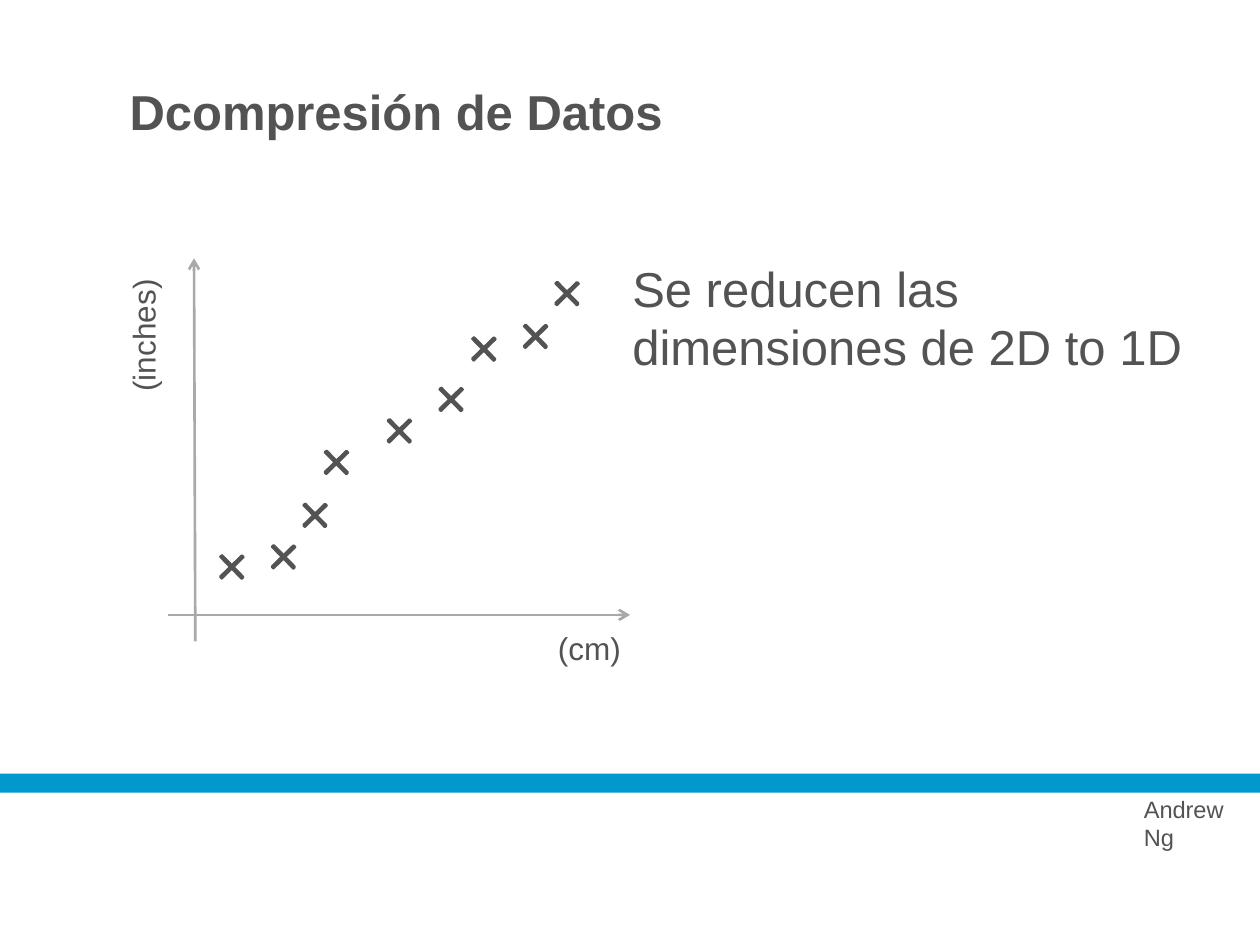
from typing import NamedTuple

from lxml import etree
from pptx import Presentation
from pptx.dml.color import RGBColor
from pptx.enum.shapes import MSO_CONNECTOR, MSO_SHAPE
from pptx.enum.text import MSO_ANCHOR, MSO_AUTO_SIZE
from pptx.oxml.ns import qn
from pptx.util import Inches, Pt

LINE = MSO_CONNECTOR.STRAIGHT
RECT = MSO_SHAPE.RECTANGLE
CROSS = MSO_SHAPE.CROSS
TOP = MSO_ANCHOR.TOP
NO_FIT = MSO_AUTO_SIZE.NONE

INK = RGBColor(0x53, 0x53, 0x53)
GREY = RGBColor(0xA9, 0xA9, 0xA9)
BLUE = RGBColor(0x00, 0x98, 0xCD)
FONT = "Arial"

# The slide is a grid of 100 columns by 75 rows.
COLS, ROWS = 100, 75
WIDTH, HEIGHT = Inches(10), Inches(7.5)
MARK = 2.4
TURN = 45.6


class Box(NamedTuple):
    col: float
    row: float
    cols: float
    rows: float


class Label(NamedTuple):
    text: str
    box: Box
    size: float
    bold: bool = False
    turn: int = 0


class Axis(NamedTuple):
    start: tuple[float, float]
    end: tuple[float, float]


class Point(NamedTuple):
    col: float
    row: float


BAND = Box(0, 61.4, COLS, 1.5)
LABELS = [
    Label("Dcompresión de Datos", Box(9.3, 6, 76.1, 5.7), 28, bold=True),
    Label("(inches)", Box(5.6, 24.3, 11.5, 4), 18, turn=270),
    Label("(cm)", Box(43.3, 49.4, 11.5, 4), 18),
    Label("Se reducen las dimensiones de 2D to 1D", Box(49.2, 20, 47.8, 10.4), 28),
    Label("Andrew Ng", Box(89.8, 62.6, 10.6, 3.3), 13.5),
]
AXES = [
    Axis((15.5, 50.9), (15.4, 20.5)),
    Axis((13.3, 48.8), (50, 48.8)),
]
POINTS = [
    Point(18.4, 45), Point(22.5, 44.2), Point(25, 40.9),
    Point(26.7, 36.7), Point(31.7, 34.2), Point(35.8, 31.7),
    Point(38.4, 27.7), Point(42.5, 26.7), Point(45, 23.3),
]


def across(col: float) -> int:
    return round(WIDTH * col / COLS)


def down(row: float) -> int:
    return round(HEIGHT * row / ROWS)


def place(box: Box) -> tuple[int, int, int, int]:
    return across(box.col), down(box.row), across(box.cols), down(box.rows)


def add_solid(slide, kind, box: Box, color: RGBColor):
    shape = slide.shapes.add_shape(kind, *place(box))
    shape.shadow.inherit = False
    shape.fill.solid()
    shape.fill.fore_color.rgb = color
    shape.line.fill.background()
    return shape


def add_mark(slide, point: Point) -> None:
    """Draw a thin cross, turned to an x, centred on the point."""
    box = Box(point.col - MARK / 2, point.row - MARK / 2, MARK, MARK)
    mark = add_solid(slide, CROSS, box, INK)
    mark.adjustments[0] = 0.466
    mark.rotation = TURN
    mark.line.color.rgb = INK
    mark.line.width = Pt(1.5)


def add_axis(slide, axis: Axis) -> None:
    (left, top), (right, foot) = axis.start, axis.end
    line = slide.shapes.add_connector(
        LINE, across(left), down(top), across(right), down(foot))
    line.line.color.rgb = GREY
    line.line.width = Pt(1.5)
    etree.SubElement(line.line._get_or_add_ln(), qn("a:tailEnd"), type="arrow")
    etree.SubElement(line._element.spPr, qn("a:effectLst"))


def add_label(slide, label: Label) -> None:
    shape = slide.shapes.add_textbox(*place(label.box))
    shape.rotation = label.turn
    frame = shape.text_frame
    frame.word_wrap = True
    frame.auto_size = NO_FIT
    frame.vertical_anchor = TOP
    run = frame.paragraphs[0].add_run()
    run.text = label.text
    run.font.name = FONT
    run.font.size = Pt(label.size)
    run.font.bold = label.bold
    run.font.color.rgb = INK


def main() -> None:
    deck = Presentation()
    deck.slide_width, deck.slide_height = WIDTH, HEIGHT
    slide = deck.slides.add_slide(deck.slide_layouts[6])
    add_solid(slide, RECT, BAND, BLUE)
    for axis in AXES:
        add_axis(slide, axis)
    for point in POINTS:
        add_mark(slide, point)
    for label in LABELS:
        add_label(slide, label)
    deck.save("out.pptx")


if __name__ == "__main__":
    main()
